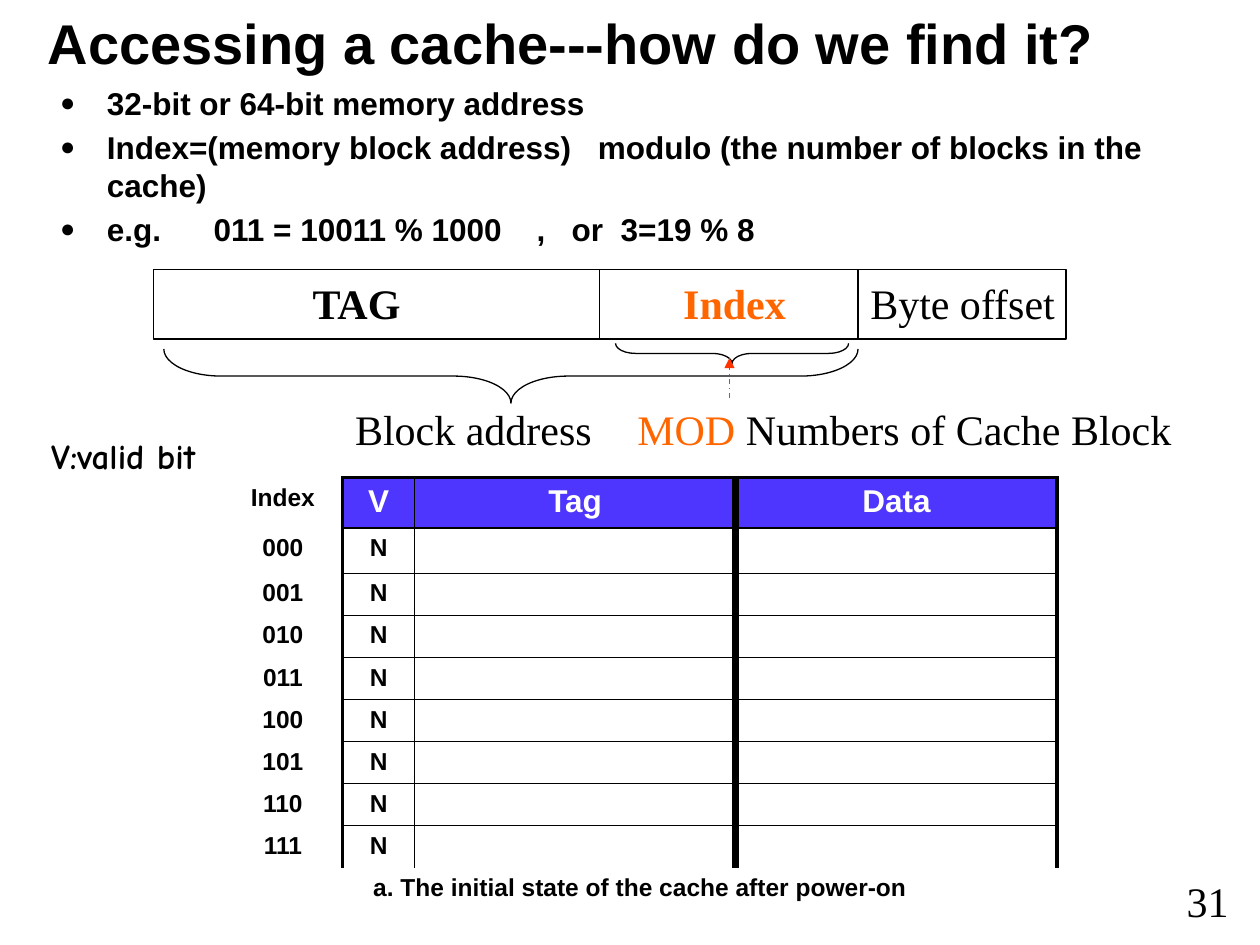
from dataclasses import dataclass
from lxml.etree import SubElement
from pptx import Presentation
from pptx.dml.color import RGBColor
from pptx.enum.dml import MSO_LINE
from pptx.enum.shapes import MSO_CONNECTOR, MSO_SHAPE
from pptx.enum.text import MSO_ANCHOR, PP_ALIGN
from pptx.oxml.ns import qn
from pptx.util import Inches, Pt


@dataclass
class Theme:
    ink: str = "000000"
    white: str = "FFFFFF"
    head: str = "4E36FE"
    accent: str = "FF6600"
    arrow: str = "FF3300"
    sans: str = "Arial"
    serif: str = "Times New Roman"
    hand: str = "Comic Neue"
    title: int = 32
    label: int = 24
    note: int = 20
    body: int = 18
    cell: int = 14
    thin: float = 0.75


theme = Theme()
deck = Presentation()
deck.slide_width, deck.slide_height = Inches(10), Inches(7.5)
slide = deck.slides.add_slide(deck.slide_layouts[6])
shapes = slide.shapes


def write(par, text, size=theme.label, face=theme.serif, color=theme.ink,
          bold=False, align=PP_ALIGN.LEFT, space=0):
    par.alignment = align
    run = par.add_run()
    run.text = text
    run.font.size, run.font.name, run.font.bold = Pt(size), face, bold
    run.font.color.rgb = RGBColor.from_string(color)
    if space:
        run.font._element.set("spc", str(space))


def frame(left, top, width, height, wrap=True, anchor=MSO_ANCHOR.MIDDLE):
    box = shapes.add_textbox(Inches(left), Inches(top), Inches(width), Inches(height))
    body = box.text_frame
    body.word_wrap, body.vertical_anchor = wrap, anchor
    return body


page = frame(9.32, 6.9, 0.59, 0.5, wrap=False, anchor=MSO_ANCHOR.TOP)
write(page.paragraphs[0], "31")
title = frame(0.28, 0, 8.77, 0.67)
write(title.paragraphs[0], "Accessing a cache---how do we find it?",
      size=theme.title, face=theme.sans, bold=True)

points = [
    [("32-bit or 64-bit memory address", 0)],
    [("Index=(memory block address)", 3),
     ("modulo (the number of blocks in the cache)", 0)],
    [("e.g.", 6), ("011 = 10011 % 1000", 4), (",", 3), ("or", 2), ("3=19 % 8", 0)],
]
body = frame(0.38, 0.62, 8.97, 2.56, anchor=MSO_ANCHOR.TOP)
for num, parts in enumerate(points):
    par = body.add_paragraph() if num else body.paragraphs[0]
    props = par._p.get_or_add_pPr()
    props.set("marL", str(Inches(0.37)))
    props.set("indent", str(Inches(-0.37)))
    if num:
        par.space_before = Pt(3.6)
    tint = SubElement(props, qn("a:buClr"))
    SubElement(tint, qn("a:srgbClr"), val=theme.ink)
    SubElement(props, qn("a:buSzPct"), val="80000")
    SubElement(props, qn("a:buFont"), typeface=theme.sans)
    SubElement(props, qn("a:buChar"), char="●")
    for text, gap in parts:
        write(par, text, size=theme.body, face=theme.sans, bold=True)
        if gap:
            write(par, " ", size=theme.body, face=theme.sans, bold=True,
                  space=500 * (gap - 1))

outlines = [
    (MSO_SHAPE.RECTANGLE, 1.22, 2.14, 7.24, 0.55, None),
    (MSO_SHAPE.RIGHT_BRACE, 3.84, 0.23, 0.43, 5.51, 1.06),
    (MSO_SHAPE.RIGHT_BRACE, 5.73, 1.88, 0.16, 1.85, 0.99),
]
for kind, left, top, width, height, curve in outlines:
    shape = shapes.add_shape(kind, Inches(left), Inches(top), Inches(width), Inches(height))
    shape.shadow.inherit = False
    shape.fill.background()
    shape.line.color.rgb = RGBColor.from_string(theme.ink)
    shape.line.width = Pt(theme.thin)
    if curve:
        shape.rotation = 90
        shape.adjustments[0] = curve

lines = [
    (4.76, 2.14, 2.69, theme.ink),
    (6.81, 2.14, 2.69, theme.ink),
    (5.79, 3.16, 2.84, theme.arrow),
]
for left, start, end, color in lines:
    line = shapes.add_connector(MSO_CONNECTOR.STRAIGHT, Inches(left), Inches(start),
                                Inches(left), Inches(end))
    line.line.color.rgb = RGBColor.from_string(color)
    line.line.width = Pt(theme.thin)
    if color == theme.arrow:
        line.line.dash_style = MSO_LINE.DASH_DOT
        SubElement(line.line._get_or_add_ln(), qn("a:tailEnd"), type="triangle")
    SubElement(line._element.spPr, qn("a:effectLst"))

fields = [
    ("TAG", 2.83, theme.ink, True),
    ("Index", 5.83, theme.accent, True),
    ("Byte offset", 7.64, theme.ink, False),
]
for text, center, color, bold in fields:
    field = frame(center - 0.82, 2.21, 1.64, 0.39, wrap=False)
    field.margin_left = field.margin_right = 0
    write(field.paragraphs[0], text, color=color, bold=bold, align=PP_ALIGN.CENTER)

par = frame(2.72, 3.24, 6.77, 0.32).paragraphs[0]
tabs = SubElement(par._p.get_or_add_pPr(), qn("a:tabLst"))
SubElement(tabs, qn("a:tab"), pos=str(Inches(2.24)), algn="l")
write(par, "Block address\t")
write(par, "MOD ", color=theme.accent)
write(par, "Numbers of Cache Block")

valid = frame(-0.28, 3.4, 1.93, 1.04, anchor=MSO_ANCHOR.TOP)
write(valid.paragraphs[0], "V:valid bit", size=theme.note, face=theme.hand,
      bold=True, align=PP_ALIGN.RIGHT)

rows = [["Index", "V", "Tag", "Data"]]
rows += [[f"{num:03b}", "N", "", ""] for num in range(8)]
rows += [["a. The initial state of the cache after power-on", "", "", ""]]
table = shapes.add_table(10, 4, Inches(1.77), Inches(3.79), Inches(6.62), Inches(3.43)).table
table.first_row = table.horz_banding = False
style = table._tbl.tblPr.find(qn("a:tableStyleId"))
style.text = "{2D5ABB26-0587-4C30-8999-92F81FD0307C}"
for col, width in zip(table.columns, [0.95, 0.57, 2.55, 2.55]):
    col.width = Inches(width)
for row, height in zip(table.rows, [0.4, 0.36] + [1 / 3] * 8):
    row.height = Inches(height)
table.cell(9, 0).merge(table.cell(9, 3))

edges = [2.25, 1, 4.5, 2.25]
for y, row in enumerate(rows):
    for x, text in enumerate(row):
        cell = table.cell(y, x)
        cell.margin_top = cell.margin_bottom = Inches(0.05 if text else 0)
        grid = x > 0 and y < 9
        head = grid and y == 0
        sides = {}
        if grid:
            sides = {"L": edges[x - 1], "R": edges[x],
                     "T": 1 if y else 2.25, "B": 1 if y < 8 else 0}
        elif y == 9:
            sides = dict.fromkeys("LRTB", 0)
        for side, width in sides.items():
            rule = SubElement(cell._tc.get_or_add_tcPr(), qn(f"a:ln{side}"),
                              w=str(Pt(width)))
            if width:
                paint = SubElement(rule, qn("a:solidFill"))
                SubElement(paint, qn("a:srgbClr"), val=theme.ink)
            else:
                SubElement(rule, qn("a:noFill"))
        if head:
            cell.fill.solid()
            cell.fill.fore_color.rgb = RGBColor.from_string(theme.head)
        else:
            cell.fill.background()
        if text:
            write(cell.text_frame.paragraphs[0], text, face=theme.sans, bold=True,
                  size=theme.body if head else theme.cell,
                  color=theme.white if head else theme.ink, align=PP_ALIGN.CENTER)

deck.save("out.pptx")
